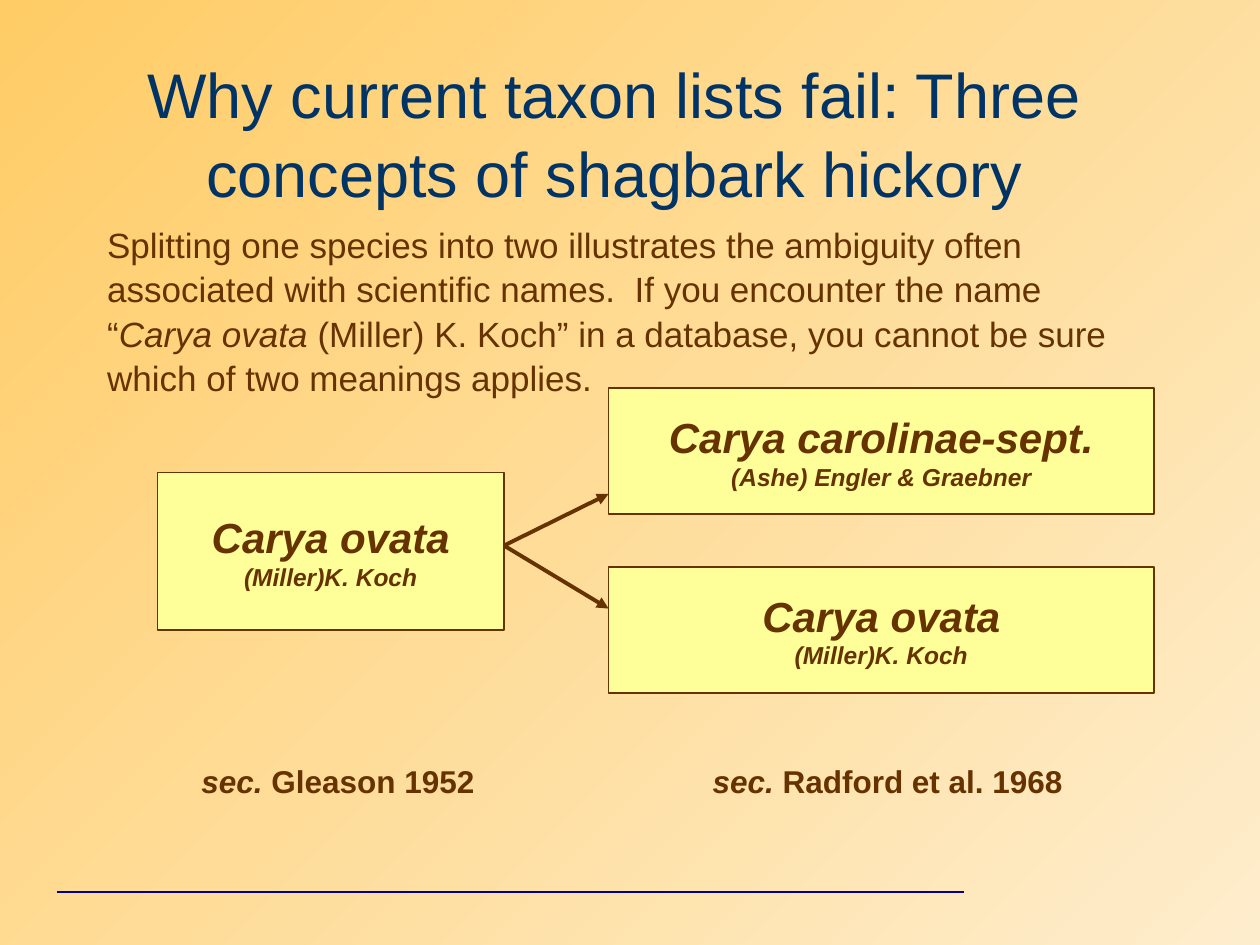
from lxml.etree import SubElement
from pptx import Presentation
from pptx.dml.color import RGBColor
from pptx.enum.shapes import MSO_CONNECTOR, MSO_SHAPE
from pptx.enum.text import MSO_ANCHOR, MSO_AUTO_SIZE, PP_ALIGN
from pptx.oxml.ns import qn
from pptx.util import Inches, Pt

BROWN = RGBColor(0x66, 0x33, 0x00)
NAVY = RGBColor(0x00, 0x33, 0x66)
RULE_BLUE = RGBColor(0x00, 0x00, 0x99)
YELLOW = RGBColor(0xFF, 0xFF, 0x99)
CREAM = RGBColor(0xFE, 0xED, 0xCC)
AMBER = RGBColor(0xFF, 0xCC, 0x66)


def apply(target, values):
    for name, value in values.items():
        setattr(target, name, value)


def inches(*lengths):
    return [Inches(length) for length in lengths]


def write(paragraph, text, size, color=BROWN, **style):
    run = paragraph.add_run()
    run.text = text
    apply(run.font, {"name": "Arial", "size": Pt(size), **style})
    run.font.color.rgb = color


def place(placeholder, left, top, width, height, alignment):
    bounds = inches(left, top, width, height)
    apply(placeholder, dict(zip(("left", "top", "width", "height"), bounds)))
    frame = placeholder.text_frame
    apply(frame, {"word_wrap": True, "auto_size": MSO_AUTO_SIZE.NONE,
                  "vertical_anchor": MSO_ANCHOR.TOP})
    paragraph = frame.paragraphs[0]
    apply(paragraph, {"alignment": alignment, "space_before": Pt(0),
                      "line_spacing": 1.05})
    return paragraph


def add_intro(body):
    paragraph = place(body, 0.75, 1.71, 8.25, 1.43, PP_ALIGN.LEFT)
    properties = paragraph._p.get_or_add_pPr()
    apply_indent = {"marL": "0", "indent": "0"}
    for name, value in apply_indent.items():
        properties.set(name, value)
    SubElement(properties, qn("a:buNone"))
    write(paragraph, "Splitting one species into two illustrates the ambiguity often "
          "associated with scientific names.  If you encounter the name “", 20)
    write(paragraph, "Carya ovata ", 20, italic=True)
    write(paragraph, "(Miller) K. Koch” in a database, you cannot be sure "
          "which of two meanings applies.", 20)


def add_concept(slide, bounds, species, author):
    concept = slide.shapes.add_shape(MSO_SHAPE.RECTANGLE, *inches(*bounds))
    concept.shadow.inherit = False
    concept.fill.solid()
    concept.fill.fore_color.rgb = YELLOW
    concept.line.color.rgb = BROWN
    concept.line.width = Pt(0.75)
    frame = concept.text_frame
    apply(frame, {"word_wrap": False, "vertical_anchor": MSO_ANCHOR.MIDDLE})
    name_line, author_line = frame.paragraphs[0], frame.add_paragraph()
    for paragraph, text, size in ((name_line, species, 24), (author_line, author, 14)):
        paragraph.alignment = PP_ALIGN.CENTER
        write(paragraph, text, size, bold=True, italic=True)


def add_line(slide, start, end, color, width, arrow=False):
    line = slide.shapes.add_connector(MSO_CONNECTOR.STRAIGHT, *inches(*start, *end))
    line.line.color.rgb = color
    line.line.width = Pt(width)
    if arrow:
        SubElement(line.line._get_or_add_ln(), qn("a:tailEnd"), type="triangle")
    SubElement(line._element.spPr, qn("a:effectLst"))


def add_source(slide, left, width, source, alignment):
    caption = slide.shapes.add_textbox(*inches(left, 6, width, 0.4))
    caption.text_frame.word_wrap = True
    paragraph = caption.text_frame.paragraphs[0]
    paragraph.alignment = alignment
    write(paragraph, "sec.", 18, bold=True, italic=True)
    write(paragraph, f" {source}", 18, bold=True)


def paint_background(slide):
    fill = slide.background.fill
    fill.gradient()
    fill.gradient_angle = 135
    for stop, color, position in zip(fill.gradient_stops, (CREAM, AMBER), (0, 1)):
        stop.color.rgb = color
        stop.position = position


def main():
    deck = Presentation()
    apply(deck, {"slide_width": Inches(10), "slide_height": Inches(7.5)})
    slide = deck.slides.add_slide(deck.slide_layouts[1])
    paint_background(slide)
    add_line(slide, (0.45, 7.08), (7.65, 7.08), RULE_BLUE, 1.5)

    title = place(slide.shapes.title, 0.75, 0.36, 8.25, 1.3, PP_ALIGN.CENTER)
    write(title, "Why current taxon lists fail: Three concepts of shagbark hickory",
          36, NAVY)
    add_intro(slide.placeholders[1])

    koch = ("Carya ovata", "(Miller)K. Koch")
    ashe = ("Carya carolinae-sept.", "(Ashe) Engler & Graebner")
    add_concept(slide, (1.25, 3.75, 2.75, 1.25), *koch)
    for top, names, arrow_end in ((3.08, ashe, 3.92), (4.5, koch, 4.83)):
        add_concept(slide, (4.83, top, 4.33, 1), *names)
        add_line(slide, (4, 4.33), (4.83, arrow_end), BROWN, 2.25, arrow=True)

    add_source(slide, 1.5, 2.5, "Gleason 1952", PP_ALIGN.LEFT)
    add_source(slide, 4.92, 4.25, "Radford et al. 1968", PP_ALIGN.CENTER)
    deck.save("out.pptx")


if __name__ == "__main__":
    main()
